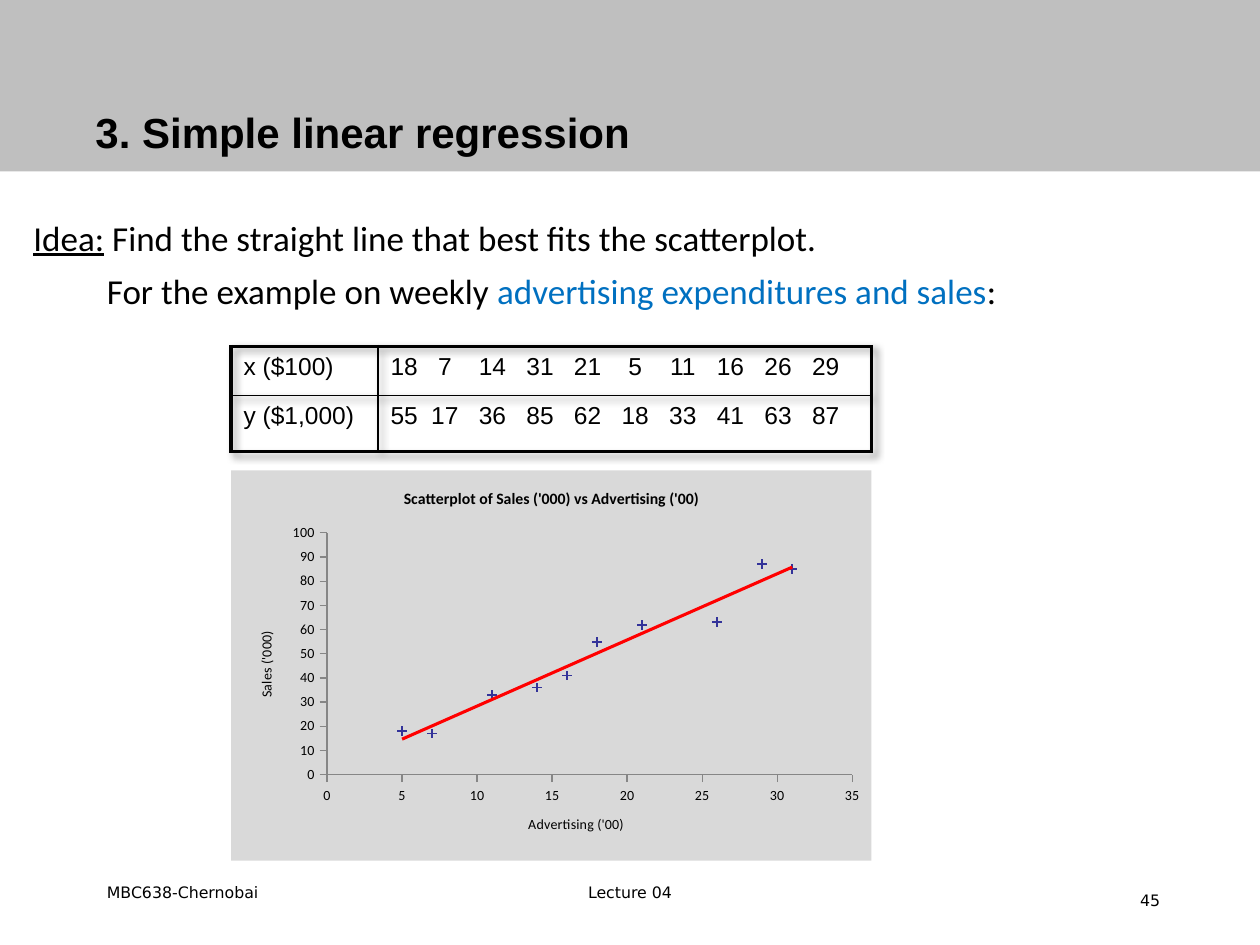
from dataclasses import dataclass

from lxml.etree import SubElement
from pptx import Presentation
from pptx.chart.data import XyChartData
from pptx.dml.color import RGBColor
from pptx.enum.chart import XL_CHART_TYPE as Kind, XL_MARKER_STYLE as Mark
from pptx.enum.chart import XL_TICK_MARK as Tick
from pptx.enum.shapes import MSO_SHAPE as Form
from pptx.enum.text import MSO_ANCHOR as Anchor, PP_ALIGN as Align
from pptx.oxml import parse_xml
from pptx.oxml.ns import nsdecls, qn
from pptx.util import Pt

BLACK = RGBColor(0, 0, 0)
BLUE = RGBColor(0x00, 0x70, 0xC0)
BAND = RGBColor(0xBF, 0xBF, 0xBF)
PLATE = RGBColor(0xD9, 0xD9, 0xD9)
NAVY = RGBColor(0x33, 0x33, 0x99)
GRAY = RGBColor(0x86, 0x86, 0x86)
RED = RGBColor(0xFF, 0, 0)

SPEND = [18, 7, 14, 31, 21, 5, 11, 16, 26, 29]
SALES = [55, 17, 36, 85, 62, 18, 33, 41, 63, 87]
THICK, THIN = 2.25, 1
FIRST, STEP = 31, 27.2


@dataclass
class Span:
    text: str
    color: RGBColor = BLACK
    under: bool = False


@dataclass
class Label:
    box: tuple[float, float, float, float]
    spans: list[Span]
    size: float
    font: str
    align: Align = Align.LEFT
    anchor: Anchor = Anchor.MIDDLE
    bold: bool = False


@dataclass
class Scale:
    title: str
    top: int
    unit: int


LABELS = [
    Label((54, 492, 150, 36), [Span("MBC638-Chernobai")], 9, "DejaVu Sans"),
    Label((246, 492, 228, 36), [Span("Lecture 04")], 9, "DejaVu Sans", Align.CENTER),
    Label((508, 500, 162, 29), [Span("45")], 9, "DejaVu Sans", Align.RIGHT),
    Label((54, 150.5, 564, 31.5),
          [Span("For the example on weekly "),
           Span("advertising expenditures and sales", BLUE), Span(":")],
          20, "Calibri", anchor=Anchor.TOP),
    Label((12, 120, 702, 31.5),
          [Span("Idea:", under=True),
           Span(" Find the straight line that best fits the scatterplot.")],
          20, "Calibri", anchor=Anchor.TOP),
    Label((47.5, 42, 621, 67), [Span("3. Simple linear regression")],
          24, "Arial", bold=True),
]


def style(font, size: float, name: str, bold: bool = False,
          color: RGBColor = BLACK) -> None:
    font.size, font.name, font.bold = Pt(size), name, bold
    font.color.rgb = color


def add_label(slide, label: Label) -> None:
    frame = slide.shapes.add_textbox(*map(Pt, label.box)).text_frame
    frame.word_wrap = True
    frame.vertical_anchor = label.anchor
    para = frame.paragraphs[0]
    para.alignment = label.align
    for span in label.spans:
        run = para.add_run()
        run.text = span.text
        style(run.font, label.size, label.font, label.bold, span.color)
        run.font.underline = span.under


def add_band(slide) -> None:
    band = slide.shapes.add_shape(Form.RECTANGLE, 0, 0, Pt(720), Pt(98))
    band.shadow.inherit = False
    band.fill.solid()
    band.fill.fore_color.rgb = BAND
    band.line.fill.background()


def set_edges(cell, widths: dict[str, float]) -> None:
    props = cell._tc.get_or_add_tcPr()
    for spot, (side, width) in enumerate(widths.items()):
        props.insert(spot, parse_xml(
            f'<a:ln{side} {nsdecls("a")} w="{Pt(width)}"><a:solidFill>'
            f'<a:srgbClr val="{BLACK}"/></a:solidFill></a:ln{side}>'))


def set_tabs(para, count: int) -> None:
    tabs = SubElement(para._p.get_or_add_pPr(), qn("a:tabLst"))
    for spot in range(count):
        SubElement(tabs, qn("a:tab"), pos=str(Pt(FIRST + spot * STEP)), algn="ctr")


def add_grid(slide) -> None:
    frame = slide.shapes.add_table(2, 2, Pt(132), Pt(198), Pt(366), Pt(60))
    table = frame.table
    table.first_row = table.horz_banding = False
    table._tbl.tblPr.insert(0, parse_xml(
        f'<a:effectLst {nsdecls("a")}><a:outerShdw blurRad="{Pt(4)}" '
        f'dist="{Pt(3)}" dir="2700000"><a:srgbClr val="{BLACK}">'
        '<a:alpha val="40000"/></a:srgbClr></a:outerShdw></a:effectLst>'))
    for col, width in zip(table.columns, (84, 282)):
        col.width = Pt(width)
    for row, height in zip(table.rows, (28, 32)):
        row.height = Pt(height)
    for r, (name, values) in enumerate((("x ($100)", SPEND), ("y ($1,000)", SALES))):
        for c, text in enumerate((name, "\t".join(map(str, values)))):
            cell = table.cell(r, c)
            cell.fill.background()
            set_edges(cell, {"L": THIN if c else THICK, "R": THICK if c else THIN,
                             "T": THIN if r else THICK, "B": THICK if r else THIN})
            para = cell.text_frame.paragraphs[0]
            para.text = text
            style(para.runs[0].font, 14, "Arial")
            if c:
                set_tabs(para, len(values) - 1)


def set_title(owner, text: str, size: float, bold: bool) -> None:
    owner.has_title = True
    title = owner.chart_title if hasattr(owner, "chart_title") else owner.axis_title
    para = title.text_frame.paragraphs[0]
    para.text = text
    style(para.runs[0].font, size, "Calibri", bold)


def set_axis(axis, scale: Scale) -> None:
    set_title(axis, scale.title, 8, False)
    axis.minimum_scale, axis.maximum_scale = 0, scale.top
    axis.major_unit = scale.unit
    axis.has_major_gridlines = False
    axis.major_tick_mark, axis.minor_tick_mark = Tick.OUTSIDE, Tick.NONE
    axis.tick_labels.number_format = "General"
    axis.tick_labels.number_format_is_linked = False
    style(axis.tick_labels.font, 8, "Calibri")
    axis.format.line.color.rgb = GRAY
    axis.format.line.width = Pt(0.75)


def add_plot(slide) -> None:
    data = XyChartData()
    points = data.add_series("Series 1")
    for x, y in zip(SPEND, SALES):
        points.add_data_point(x, y)
    chart = slide.shapes.add_chart(
        Kind.XY_SCATTER, Pt(132), Pt(268.8), Pt(366), Pt(223), data).chart
    chart.has_legend = False
    style(chart.font, 10, "Calibri")
    set_title(chart, "Scatterplot of Sales ('000) vs Advertising ('00)", 9, True)
    chart.chart_title.include_in_layout = False
    set_axis(chart.category_axis, Scale("Advertising ('00)", 35, 5))
    set_axis(chart.value_axis, Scale("Sales ('000)", 100, 10))
    plot = chart.plots[0]
    plot.vary_by_categories = False
    dots = plot.series[0]
    dots.smooth = False
    dots.format.line.fill.background()
    dots.marker.style, dots.marker.size = Mark.PLUS, 5
    dots.marker.format.fill.background()
    dots.marker.format.line.color.rgb = NAVY
    dots._element.find(qn("c:xVal")).addprevious(parse_xml(
        f'<c:trendline {nsdecls("c", "a")}><c:spPr><a:ln w="{Pt(1.75)}">'
        f'<a:solidFill><a:srgbClr val="{RED}"/></a:solidFill></a:ln></c:spPr>'
        '<c:trendlineType val="linear"/><c:dispRSqr val="0"/>'
        '<c:dispEq val="0"/></c:trendline>'))
    area = chart._chartSpace.chart.plotArea
    for old in area.findall(qn("c:layout")):
        area.remove(old)
    sizes = "".join(f'<c:{key} val="{val}"/>' for key, val in
                    (("x", 0.15), ("y", 0.16), ("w", 0.82), ("h", 0.62)))
    area.insert(0, parse_xml(
        f'<c:layout {nsdecls("c")}><c:manualLayout><c:layoutTarget val="inner"/>'
        f'<c:xMode val="edge"/><c:yMode val="edge"/>{sizes}'
        '</c:manualLayout></c:layout>'))
    chart._chartSpace.chart.addnext(parse_xml(
        f'<c:spPr {nsdecls("c", "a")}><a:solidFill><a:srgbClr val="{PLATE}"/>'
        '</a:solidFill><a:ln><a:noFill/></a:ln></c:spPr>'))


def main() -> None:
    deck = Presentation()
    deck.slide_width, deck.slide_height = Pt(720), Pt(540)
    slide = deck.slides.add_slide(deck.slide_layouts[6])
    *body, title = LABELS
    for label in body:
        add_label(slide, label)
    add_plot(slide)
    add_band(slide)
    add_label(slide, title)
    add_grid(slide)
    deck.save("out.pptx")


if __name__ == "__main__":
    main()
